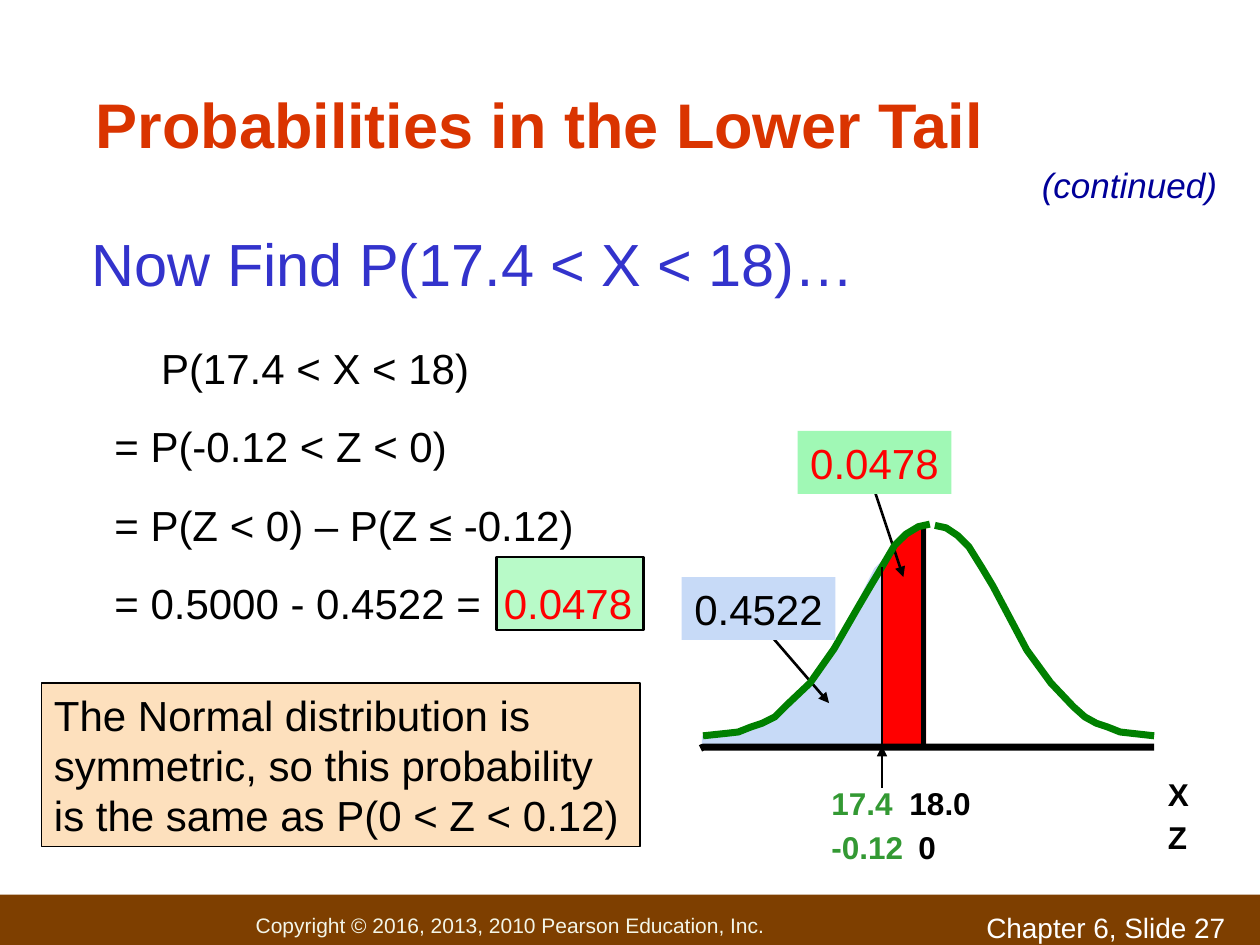
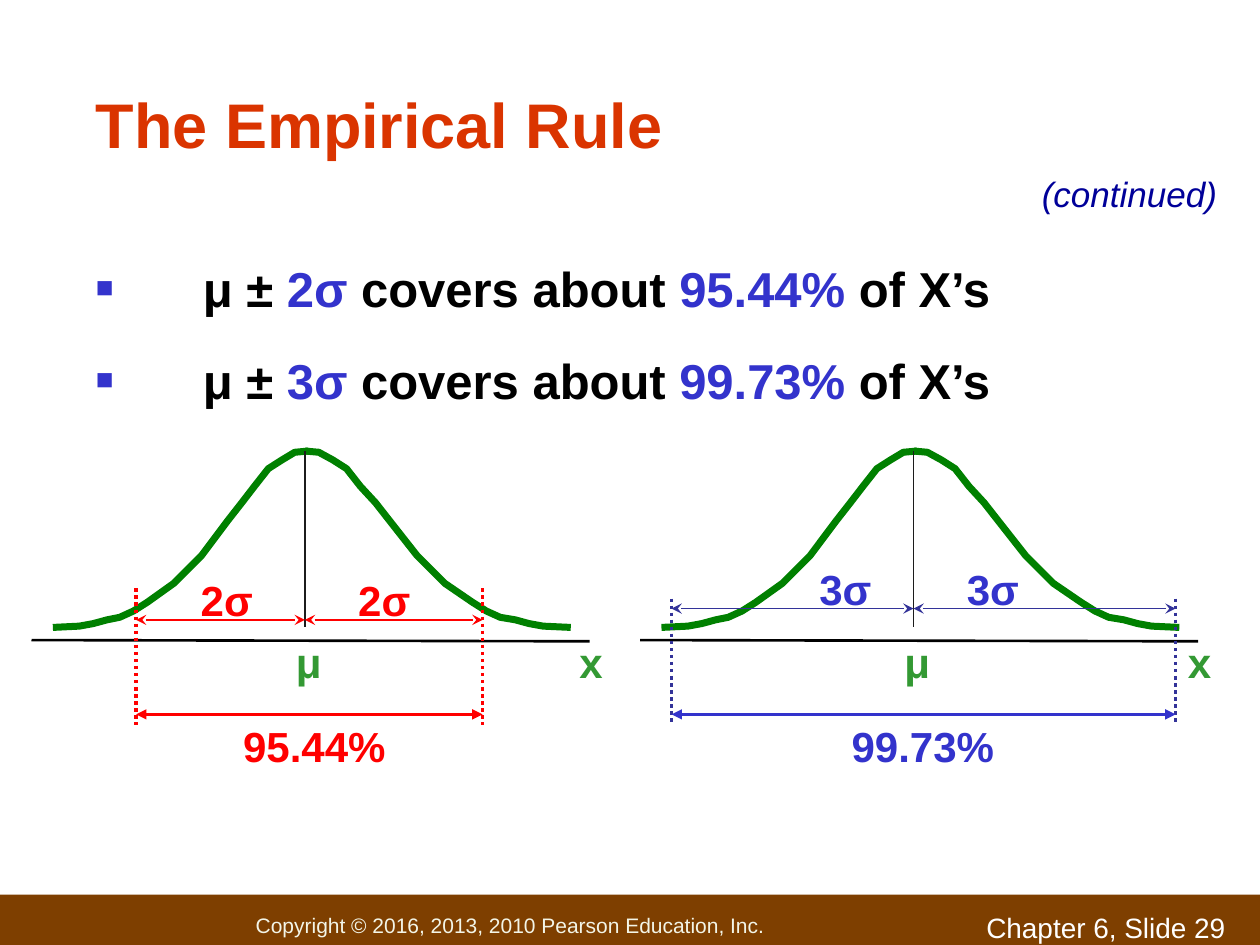
from lxml import etree
from pptx import Presentation
from pptx.dml.color import RGBColor
from pptx.enum import dml, shapes, text
from pptx.oxml import ns
from pptx.util import Inches, Pt

COLORS = {
    "band": "7E3F00", "copyright": "F3F5E7", "white": "FFFFFF", "black": "000000",
    "title": "DA3400", "continued": "000099", "blue": "3333CC", "navy": "333399",
    "red": "FF0000", "curve": "008000", "axis_label": "339933", "mean": "1C1C1C",
    "tail": "C7DAF7", "slice_label": "A0F8B5", "answer": "B8FAC8", "note": "FDE0BD",
}
FONT = "Arial"
HALF_CURVE_STEPS = [0, 2, 3, 4, 5, 6, 7, 9, 11, 13, 14, 15, 16, 17, 18, 19]
HALF_CURVE_HEIGHTS = [0, .01, .02, .04, .06, .09, .14, .25,
                      .41, .61, .71, .8, .9, .95, .99, 1]
LOWER_TAIL = [(7.03, 5.92), (7.03, 4.42), (6.94, 4.51), (6.82, 4.75), (6.75, 4.89),
              (6.69, 4.98), (6.6, 5.16), (6.5, 5.31), (6.37, 5.5), (6.25, 5.6),
              (6.09, 5.72), (5.84, 5.8), (5.57, 5.84), (5.57, 5.92)]
MIDDLE_SLICE = [(7.01, 5.92), (7, 4.45), (7.05, 4.39), (7.11, 4.3), (7.17, 4.24),
                (7.22, 4.2), (7.26, 4.17), (7.35, 4.17), (7.35, 5.92)]


def rgb(color):
    """Return the named colour."""
    return RGBColor.from_string(COLORS[color])


def add_xml(parent, tag, **attributes):
    """Append a drawing element to a parent."""
    element = etree.SubElement(parent, ns.qn(f"a:{tag}"))
    for key, value in attributes.items():
        element.set(key, str(value))
    return element


def paint(shape, fill=None, line=None, width=1):
    """Set fill and outline, and drop the shadow."""
    shape.shadow.inherit = False
    if fill:
        shape.fill.solid()
        shape.fill.fore_color.rgb = rgb(fill)
    else:
        shape.fill.background()
    if line:
        shape.line.color.rgb = rgb(line)
        shape.line.width = Pt(width)
    else:
        shape.line.fill.background()


def write(shape, *paragraphs, size=24, color="black", bold=False, italic=False,
          align="LEFT", anchor="TOP", margins=(.1, .05, .1, .05), space=0,
          indents=(), bullet=None, tab=None):
    """Write paragraphs, each a string or a list of (text, colour) runs."""
    frame = shape.text_frame
    frame.auto_size = text.MSO_AUTO_SIZE.NONE
    frame.word_wrap = align != "CENTER"
    frame.vertical_anchor = text.MSO_ANCHOR[anchor]
    (frame.margin_left, frame.margin_top,
     frame.margin_right, frame.margin_bottom) = map(Inches, margins)
    for index, content in enumerate(paragraphs):
        paragraph = frame.add_paragraph() if index else frame.paragraphs[0]
        paragraph.alignment = text.PP_ALIGN[align]
        paragraph.space_before = Pt(space if index else 0)
        properties = paragraph._p.get_or_add_pPr()
        if index < len(indents):
            left, first = indents[index]
            properties.set("marL", str(Inches(left)))
            properties.set("indent", str(Inches(first)))
        if bullet:
            add_xml(add_xml(properties, "buClr"), "srgbClr", val=COLORS[bullet])
            add_xml(properties, "buSzPct", val=60000)
            add_xml(properties, "buFont", typeface=FONT)
            add_xml(properties, "buChar", char="■")
        if tab:
            add_xml(add_xml(properties, "tabLst"), "tab", pos=Inches(tab), algn="l")
        for words, run_color in [(content, color)] if isinstance(content, str) else content:
            run = paragraph.add_run()
            run.text = words
            run.font.name, run.font.size = FONT, Pt(size)
            run.font.bold, run.font.italic = bold, italic
            run.font.color.rgb = rgb(run_color)


def add_text(slide, box, *paragraphs, **style):
    """Add a text box."""
    write(slide.shapes.add_textbox(*map(Inches, box)), *paragraphs, **style)


def add_box(slide, box, *paragraphs, fill, line=None, width=1, **style):
    """Add a filled rectangle with optional text."""
    rectangle = slide.shapes.add_shape(shapes.MSO_SHAPE.RECTANGLE, *map(Inches, box))
    paint(rectangle, fill, line, width)
    if paragraphs:
        write(rectangle, *paragraphs, **style)


def add_line(slide, start, end, color="black", width=1, head=None, tail=None, dotted=False):
    """Add a straight line with optional arrowheads."""
    line = slide.shapes.add_connector(
        shapes.MSO_CONNECTOR.STRAIGHT, *map(Inches, (*start, *end)))
    line.line.color.rgb = rgb(color)
    line.line.width = Pt(width)
    if dotted:
        line.line.dash_style = dml.MSO_LINE.ROUND_DOT
    outline = line.line._get_or_add_ln()
    for tag, arrow in (("headEnd", head), ("tailEnd", tail)):
        if arrow:
            add_xml(outline, tag, type=arrow)
    add_xml(line._element.spPr, "effectLst")


def add_outline(slide, points, close=False, **colors):
    """Add a freeform through points given in inches."""
    hundredths = [(x * 100, y * 100) for x, y in points]
    builder = slide.shapes.build_freeform(*hundredths[0], scale=Inches(.01))
    builder.add_line_segments(hundredths[1:], close=close)
    paint(builder.convert_to_shape(), **colors)


def add_half_curve(slide, tail_x, peak_x, base, peak):
    """Draw one side of a bell curve."""
    points = [(tail_x + (peak_x - tail_x) * step / 19, base + (peak - base) * height)
              for step, height in zip(HALF_CURVE_STEPS, HALF_CURVE_HEIGHTS)]
    add_outline(slide, points, line="curve", width=4)


def start_slide(deck, title, number):
    """Add a slide with its band, footer and title."""
    slide = deck.slides.add_slide(deck.slide_layouts[5])
    add_box(slide, (0, 7.1, 10, .4), "Copyright © 2016, 2013, 2010 Pearson Education, Inc.",
            fill="band", size=12, color="copyright", anchor="MIDDLE",
            margins=(2.03, .09, 0, 0))
    add_text(slide, (7.73, 7.18, 2.2, .3), f"Chapter 6, Slide {number}",
             size=16, color="white")
    heading = slide.shapes.title
    heading.left, heading.top, heading.width, heading.height = map(
        Inches, (.67, .25, 8.67, 1.08))
    write(heading, title, size=36, color="title", bold=True, anchor="BOTTOM",
          margins=(.09, .05, .09, .05))
    return slide


def add_continued(slide, top):
    """Add the continuation mark."""
    add_text(slide, (8.17, top, 1.67, .44), "(continued)",
             size=20, color="continued", italic=True)


def build_lower_tail(deck):
    """Build the lower tail slide."""
    slide = start_slide(deck, "Probabilities in the Lower Tail", 27)
    add_outline(slide, LOWER_TAIL, close=True, fill="tail")
    add_line(slide, (6.08, 5), (6.58, 5.58), width=1.5, tail="triangle")
    add_outline(slide, MIDDLE_SLICE, close=True, fill="red")
    add_line(slide, (6.92, 3.83), (7.17, 4.58), width=1.5, tail="triangle")
    add_box(slide, (3.94, 4.42, 1.17, .58), fill="answer", line="black", width=1.5)
    add_text(slide, (.63, 1.75, 8.45, .7), "Now Find P(17.4 < X < 18)…",
             size=34, color="blue")
    add_line(slide, (7.33, 4.17), (7.33, 5.92), width=2.5)
    add_half_curve(slide, 9.16, 7.42, 5.84, 4.17)
    add_half_curve(slide, 5.58, 7.38, 5.84, 4.16)
    add_outline(slide, [(5.56, 5.94), (5.58, 5.93), (9.16, 5.93)], line="black", width=4)
    add_line(slide, (7, 6.25), (7, 5.92), tail="triangle")
    add_text(slide, (.81, 2.67, 4.4, 2.4), "P(17.4 < X < 18)", "= P(-0.12 < Z < 0)",
             "= P(Z < 0) – P(Z ≤ -0.12)",
             [("= 0.5000 - 0.4522 =\t", "black"), ("0.0478", "red")],
             space=16, indents=[(.37, 0)], tab=3.09)
    add_continued(slide, 1.25)
    add_box(slide, (6.33, 3.42, 1.22, .5), "0.0478", fill="slice_label",
            color="red", align="CENTER")
    add_line(slide, (7, 4.5), (7, 5.92))
    add_box(slide, (5.41, 4.58, 1.22, .5), "0.4522", fill="tail", align="CENTER")
    for left, top, label, color in (
            (9.17, 6.1, "X", "black"), (9.17, 6.44, "Z", "black"),
            (6.5, 6.17, "17.4", "axis_label"), (7.12, 6.17, "18.0", "black"),
            (6.5, 6.52, "-0.12", "axis_label"), (7.19, 6.52, "0", "black")):
        add_text(slide, (left, top, .8, .4), label, size=18, color=color, bold=True)
    add_box(slide, (.33, 5.42, 4.75, 1.3),
            "The Normal distribution is symmetric, so this probability "
            "is the same as P(0 < Z < 0.12)", fill="note", line="black")


def add_coverage(slide, mean, limits, sigma, sigma_centers, percent,
                 color, line_color, limit_top, sigma_y):
    """Draw a bell curve with the span that the limits cover."""
    low, high = limits
    label = {"bold": True, "align": "CENTER"}
    add_half_curve(slide, mean + 2.11, mean, 4.98, 3.58)
    add_half_curve(slide, mean - 2, mean + .03, 4.98, 3.58)
    add_line(slide, (mean, 3.58), (mean, 4.98), "mean")
    add_text(slide, (mean + 2.08, 5, .38, .5), "x", color="axis_label", **label)
    add_text(slide, (mean - .17, 5, .4, .5), "μ", color="axis_label", **label)
    add_line(slide, (mean - 2.17, 5.08), (mean + 2.26, 5.09), width=1.5)
    for limit in limits:
        add_line(slide, (limit, limit_top), (limit, 5.75), line_color, 2, dotted=True)
        ends = sorted((limit, mean))
        add_line(slide, (ends[0], sigma_y), (ends[1], sigma_y), line_color,
                 head="stealth", tail="stealth")
    for center in sigma_centers:
        add_text(slide, (center - .3, sigma_y - .41, .6, .5), sigma, color=color, **label)
    add_line(slide, (low, 5.67), (high, 5.67), color, 1.5, head="triangle", tail="triangle")
    add_text(slide, (mean - .59, 5.67, 1.33, .5), percent, color=color, **label)


def build_empirical_rule(deck):
    """Build the empirical rule slide."""
    slide = start_slide(deck, "The Empirical Rule", 29)
    rules = [[("μ ± ", "black"), (f"{sigma} ", "blue"), ("covers about ", "black"),
              (percent, "blue"), (" of X’s", "black")]
             for sigma, percent in (("2σ", "95.44%"), ("3σ", "99.73%"))]
    add_text(slide, (.67, 2, 7.58, 1.56), *rules, size=28, bold=True, space=19,
             margins=(.09, .05, .09, .05), indents=[(.85, -.85)] * 2, bullet="blue")
    add_coverage(slide, 2.42, (1.08, 3.83), "2σ", (1.8, 3.05), "95.44%",
                 "red", "red", 4.67, 4.92)
    add_coverage(slide, 7.25, (5.33, 9.33), "3σ", (6.71, 7.88), "99.73%",
                 "blue", "navy", 4.75, 4.83)
    add_continued(slide, 1.32)


def main():
    """Build and save the deck."""
    deck = Presentation()
    deck.slide_width, deck.slide_height = Inches(10), Inches(7.5)
    build_lower_tail(deck)
    build_empirical_rule(deck)
    deck.save("out.pptx")


if __name__ == "__main__":
    main()
